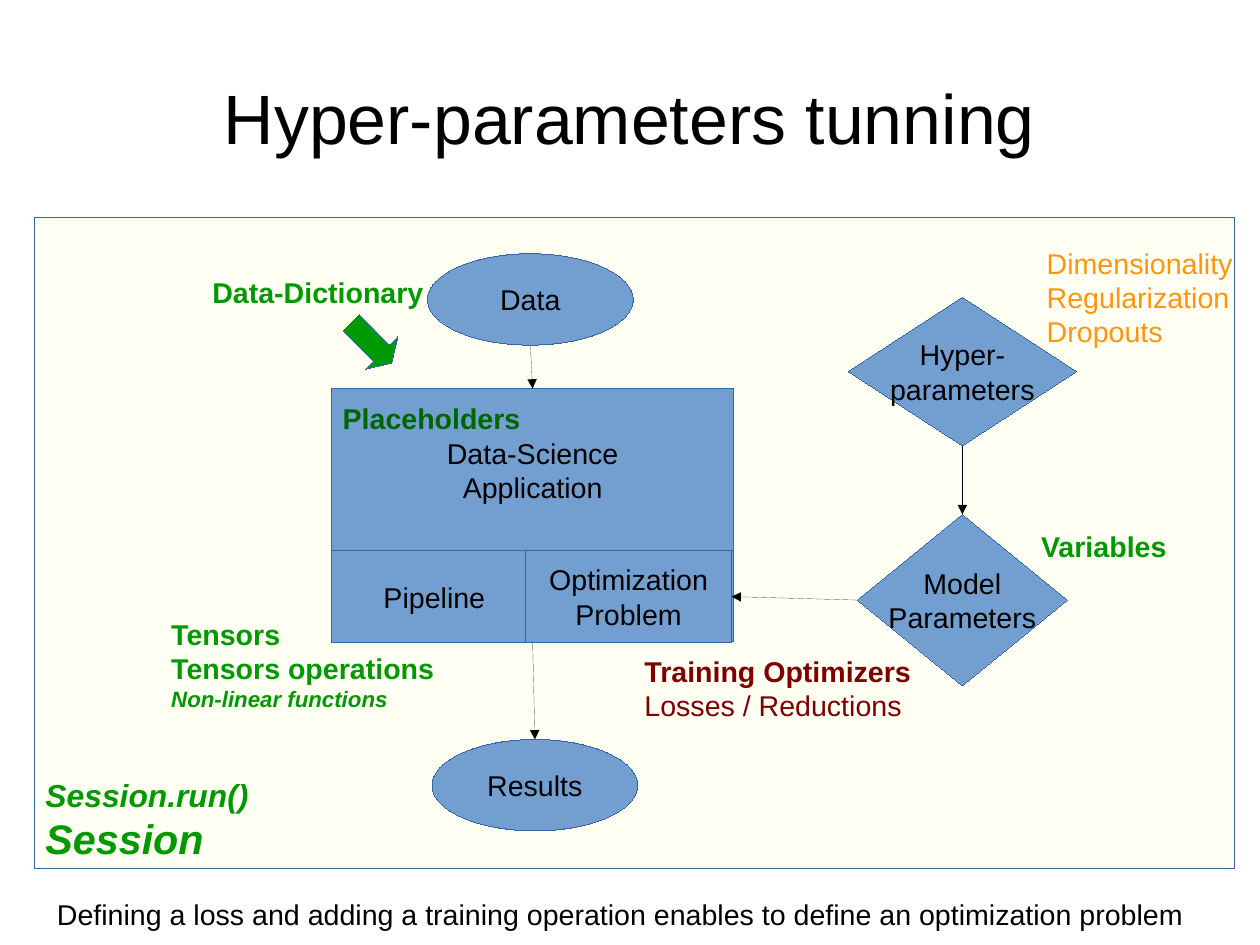
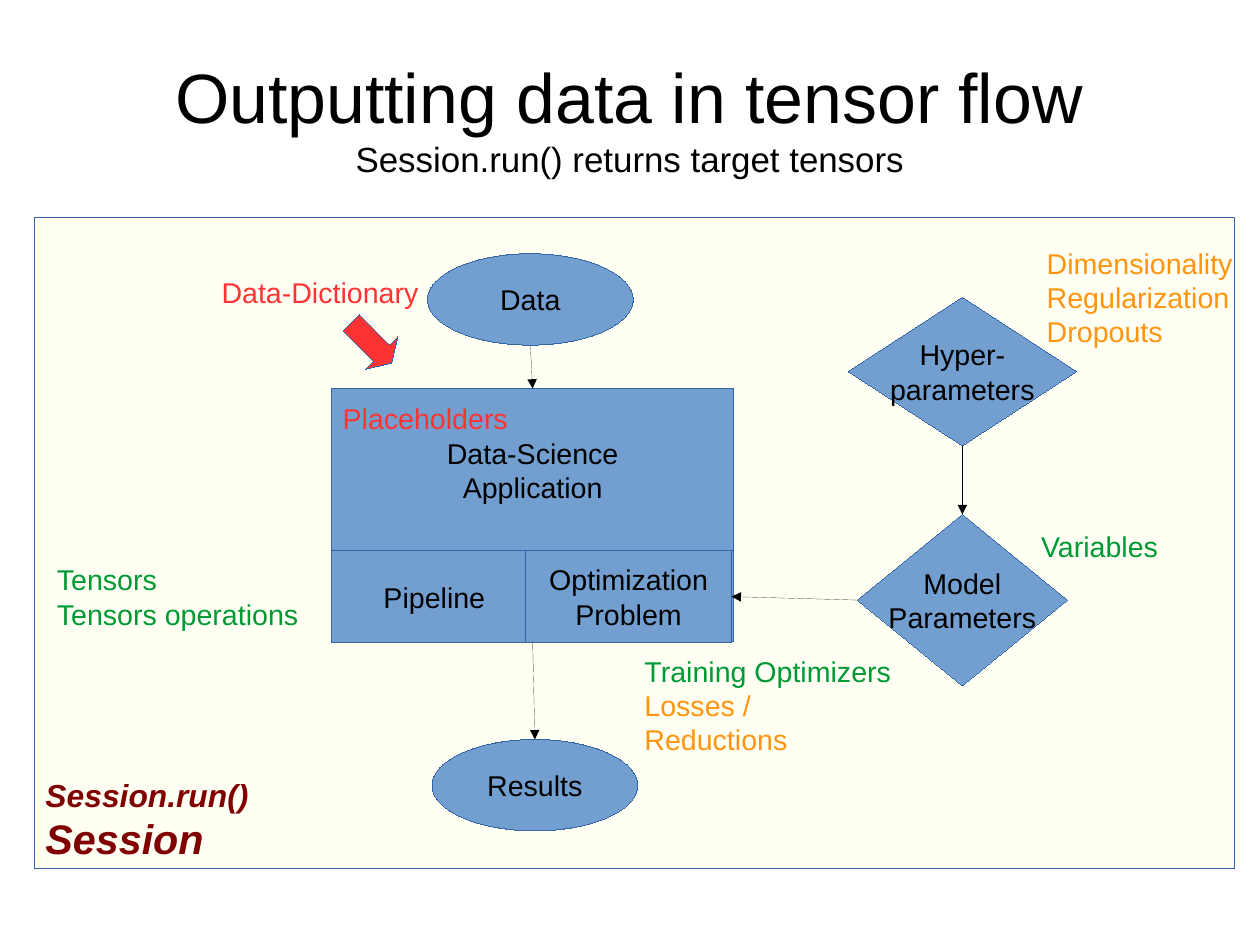
import pptx
import pptx.util
import pptx.dml.color
import pptx.enum.shapes
import pptx.enum.text
import pptx.oxml.ns
import lxml.etree

Inches = pptx.util.Inches
SHAPE = pptx.enum.shapes.MSO_SHAPE
ALIGN = pptx.enum.text.PP_ALIGN
ANCHOR = pptx.enum.text.MSO_ANCHOR
qn = pptx.oxml.ns.qn

COLORS = {
    "black": "000000", "node": "729FCF", "edge": "3465A4", "frame": "FFFF99",
    "green": "009900", "forest": "006600", "leaf": "009933",
    "maroon": "800000", "orange": "FF950E", "red": "FF3333",
}
TITLE_BOX = (0.55, 0.33, 9.92, 1.38)
FRAME_BOX = (0.3, 1.9, 10.5, 5.7)
CAPTION_BOX = (0.4, 7.8, 10.5, 0.4)
TOP, LEFT, BOTTOM, RIGHT = range(4)

NODES = {
    "base": (SHAPE.RECTANGLE, (2.6, 2.91, 3.52, 0.8), []),
    "application": (SHAPE.RECTANGLE, (2.6, 1.5, 3.52, 1.42), ["Data-Science\nApplication"]),
    "data": (SHAPE.OVAL, (3.44, 0.32, 1.8, 0.8), ["Data"]),
    "results": (SHAPE.OVAL, (3.48, 4.57, 1.8, 0.8), ["Results"]),
    "model": (SHAPE.DIAMOND, (7.2, 2.6, 1.84, 1.5), ["Model", "Parameters"]),
    "hyper": (SHAPE.DIAMOND, (7.12, 0.7, 2, 1.3), ["Hyper-", "parameters"]),
    "pipeline": (SHAPE.RECTANGLE, (2.6, 2.92, 1.8, 0.8), ["Pipeline"]),
    "optimization": (SHAPE.RECTANGLE, (4.3, 2.92, 1.8, 0.8), ["Optimization\nProblem"]),
}
LINKS = [
    ("hyper", BOTTOM, "model", TOP),
    ("model", LEFT, "optimization", RIGHT),
    ("data", BOTTOM, "application", TOP),
    ("base", BOTTOM, "results", TOP),
]
HYPER_LABEL = ((8.76, 0.2, 1.9, 0.94),
               [(t, "orange", {}) for t in ("Dimensionality", "Regularization", "Dropouts")])
BOLD = {"bold": True}
SMALL = {"bold": True, "italic": True, "size": 14}

SLIDES = [
    {
        "title": [("Hyper-parameters tunning", "black", {"size": 44})],
        "session": "green",
        "arrow": "green",
        "labels": [
            ((1.46, 0.46, 2.4, 0.4), [("Data-Dictionary", "green", BOLD)]),
            ((2.6, 1.56, 2.4, 0.4), [("Placeholders", "forest", BOLD)]),
            ((8.71, 2.68, 1.9, 0.4), [("Variables", "green", BOLD)]),
            ((1.1, 3.45, 3, 0.93), [("Tensors\nTensors operations\n", "green", BOLD),
                                    ("Non-linear functions", "green", SMALL)]),
            ((5.24, 3.77, 2.56, 0.7), [("Training Optimizers", "maroon", BOLD),
                                       ("Losses / Reductions", "maroon", {})]),
            HYPER_LABEL,
        ],
        "caption": "Defining a loss and adding a training operation enables "
                   "to define an optimization problem",
    },
    {
        "title": [("Outputting data in tensor flow\n", "black", {"size": 44}),
                  ("Session.run() returns target tensors", "black", {"size": 22})],
        "session": "maroon",
        "arrow": "red",
        "labels": [
            ((1.54, 0.46, 2.4, 0.4), [("Data-Dictionary", "red", {})]),
            ((2.6, 1.56, 2.4, 0.4), [("Placeholders", "red", {})]),
            ((8.71, 2.68, 1.9, 0.4), [("Variables", "leaf", {})]),
            ((0.1, 2.97, 2.4, 0.66), [("Tensors\nTensors operations", "leaf", {})]),
            ((5.24, 3.77, 2.4, 0.94), [("Training Optimizers", "leaf", {}),
                                       ("Losses / Reductions", "orange", {})]),
            HYPER_LABEL,
        ],
        "caption": None,
    },
]


def rgb(name):
    """Return the named colour."""
    return pptx.dml.color.RGBColor.from_string(COLORS[name])


def inside(box, part):
    """Return the lengths of a part placed relative to a box."""
    x, y, w, h = part
    return [Inches(v) for v in (box[0] + x, box[1] + y, w, h)]


def add_run(p, text, color, fmt):
    """Add one formatted run to a paragraph."""
    r = p.add_run()
    r.text = text
    for name, value in {"name": "Arial", "size": 18, **fmt}.items():
        setattr(r.font, name, pptx.util.Pt(value) if name == "size" else value)
    r.font.color.rgb = rgb(color)


def write(tf, lines, align=ALIGN.LEFT, **frame):
    """Write (text, colour, format) paragraphs; a final newline keeps the next in the same one."""
    for name, value in frame.items():
        setattr(tf, name, value)
    p = tf.paragraphs[0]
    p.alignment = align
    for i, (text, color, fmt) in enumerate(lines):
        if i and lines[i - 1][0].endswith("\n"):
            p.add_line_break()
        elif i:
            p = tf.add_paragraph()
            p.alignment = align
        for j, row in enumerate(text.splitlines()):
            if j:
                p.add_line_break()
            add_run(p, row, color, fmt)


def hairline(sp, color):
    """Give a shape or connector the thinnest solid line and return its element."""
    sp.line.color.rgb = rgb(color)
    ln = sp._element.spPr.find(qn("a:ln"))
    ln.set("w", "0")
    return ln


def add_block(s, kind, box, part, fill):
    """Add an outlined preset shape without shadow."""
    sp = s.shapes.add_shape(kind, *inside(box, part))
    sp.shadow.inherit = False
    sp.fill.solid()
    sp.fill.fore_color.rgb = rgb(fill)
    hairline(sp, "edge")
    return sp


def add_label(s, box, part, lines):
    """Add a wrapping text box."""
    sp = s.shapes.add_textbox(*inside(box, part))
    write(sp.text_frame, lines, word_wrap=True)


def add_link(s, start, start_side, end, end_side):
    """Join two nodes with a straight arrow."""
    c = s.shapes.add_connector(pptx.enum.shapes.MSO_CONNECTOR.STRAIGHT, 0, 0, 0, 0)
    c.begin_connect(start, start_side)
    c.end_connect(end, end_side)
    if start.auto_shape_type == SHAPE.OVAL:
        c._element.xpath(".//a:stCxn")[0].set("idx", str(2 * start_side))
    lxml.etree.SubElement(hairline(c, "black"), qn("a:tailEnd"), type="triangle")
    lxml.etree.SubElement(c._element.spPr, qn("a:effectLst"))


def add_frame(s, box, color):
    """Add the pale session frame with its name at the bottom left."""
    sp = add_block(s, SHAPE.RECTANGLE, box, (0, 0, *box[2:]), "frame")
    clr = sp._element.spPr.xpath("./a:solidFill/a:srgbClr")[0]
    lxml.etree.SubElement(clr, qn("a:alpha"), val="10000")
    style = {"bold": True, "italic": True}
    write(sp.text_frame, [("Session.run()", color, {**style, "size": 20}),
                          ("Session", color, {**style, "size": 26})],
          word_wrap=True, vertical_anchor=ANCHOR.BOTTOM)


def add_diagram(s, box, content):
    """Draw the session frame, nodes, arrows and labels in a box."""
    add_frame(s, box, content["session"])
    nodes = {}
    for name, (kind, part, lines) in NODES.items():
        nodes[name] = sp = add_block(s, kind, box, part, "node")
        write(sp.text_frame, [(t, "black", {}) for t in lines], ALIGN.CENTER,
              word_wrap=False, vertical_anchor=ANCHOR.MIDDLE)
    for start, start_side, end, end_side in LINKS:
        add_link(s, nodes[start], start_side, nodes[end], end_side)
    arrow = add_block(s, SHAPE.RIGHT_ARROW, box, (2.7, 0.9, 0.5, 0.4), content["arrow"])
    arrow.rotation = 45
    arrow.adjustments[1] = 0.31
    for part, lines in content["labels"]:
        add_label(s, box, part, lines)


def add_title(s, box, lines):
    """Place and fill the title placeholder."""
    sp = s.shapes.title
    for name, value in zip(("left", "top", "width", "height"), box):
        setattr(sp, name, Inches(value))
    write(sp.text_frame, lines, ALIGN.CENTER, word_wrap=True,
          auto_size=pptx.enum.text.MSO_AUTO_SIZE.NONE, vertical_anchor=ANCHOR.MIDDLE,
          margin_left=0, margin_right=0, margin_top=0, margin_bottom=0)


def add_slide(prs, content):
    """Add one diagram slide."""
    s = prs.slides.add_slide(prs.slide_layouts[5])
    add_title(s, TITLE_BOX, content["title"])
    add_diagram(s, FRAME_BOX, content)
    if content["caption"]:
        add_label(s, CAPTION_BOX, (0, 0, *CAPTION_BOX[2:]), [(content["caption"], "black", {})])


def main():
    """Build and save the presentation."""
    prs = pptx.Presentation()
    prs.slide_width, prs.slide_height = pptx.util.Cm(28), pptx.util.Cm(21)
    for content in SLIDES:
        add_slide(prs, content)
    prs.save("out.pptx")


if __name__ == "__main__":
    main()
